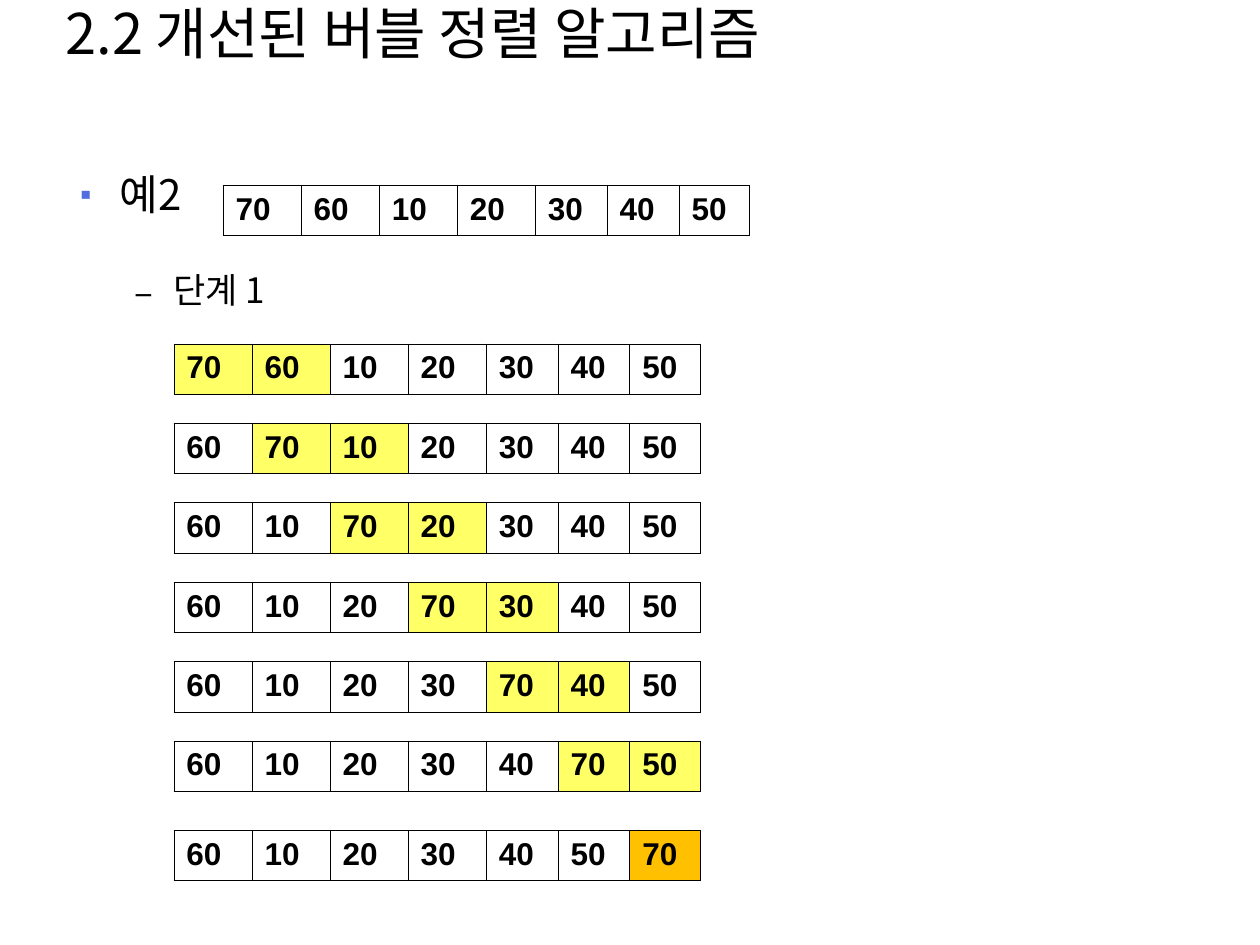
from dataclasses import dataclass

from lxml.etree import SubElement
from pptx import Presentation
from pptx.dml.color import RGBColor
from pptx.enum.text import MSO_ANCHOR, MSO_AUTO_SIZE, PP_ALIGN
from pptx.oxml.ns import qn
from pptx.util import Inches, Pt


@dataclass(frozen=True)
class Theme:
    ink: str = "000000"
    bullet: str = "526DE0"
    compared: str = "FFFF66"
    settled: str = "FFC000"
    text_font: str = "Noto Sans CJK KR"
    cell_font: str = "Arial"
    title_size: int = 32
    example_size: int = 24
    step_size: int = 20
    cell_size: int = 18
    border: float = 0.45
    line_spacing: float = 0.9


@dataclass(frozen=True)
class ArrayRow:
    left: float
    top: float
    values: tuple[int, ...]
    marked: tuple[int, ...] = ()
    mark_color: str = ""


@dataclass(frozen=True)
class Bullet:
    text: str
    char: str
    color: str
    percent: int
    size: int
    level: int
    margin: float
    hang: float
    space_before: int


THEME = Theme()
SLIDE_SIZE = (10, 7.5)
COLUMNS = (0.62,) * 4 + (0.57,) * 2 + (0.56,)
ROW_HEIGHT = 0.4
STEP_LEFT, STEP_TOP, STEP_PITCH = 1.38, 2.73, 0.63
RESULT_TOP = 6.59
START = (70, 60, 10, 20, 30, 40, 50)
BULLETS = (
    Bullet("예2", "▪", THEME.bullet, 70, THEME.example_size, 0, 0.38, 0.38, 0),
    Bullet("단계 1", "–", THEME.ink, 100, THEME.step_size, 1, 0.81, 0.31, 31),
)


def format_runs(para, font_name: str, size: int, bold: bool = False) -> None:
    for span in para.runs:
        span.font.name = font_name
        span.font.size = Pt(size)
        span.font.bold = bold
        span.font.color.rgb = RGBColor.from_string(THEME.ink)
        SubElement(span.font._element, qn("a:ea"), typeface=font_name)


def add_title(page, text: str) -> None:
    title = page.shapes.title
    title.left, title.top = Inches(0.42), 0
    title.width, title.height = Inches(9.17), Inches(0.84)
    frame = title.text_frame
    frame.text = text
    frame.auto_size = MSO_AUTO_SIZE.NONE
    frame.vertical_anchor = MSO_ANCHOR.TOP
    para = frame.paragraphs[0]
    para.alignment = PP_ALIGN.LEFT
    para.line_spacing = THEME.line_spacing
    format_runs(para, THEME.text_font, THEME.title_size)


def format_bullet(para, bullet: Bullet) -> None:
    props = para._p.get_or_add_pPr()
    props.set("marL", str(Inches(bullet.margin)))
    props.set("indent", str(-Inches(bullet.hang)))
    SubElement(SubElement(props, qn("a:buClr")), qn("a:srgbClr"), val=bullet.color)
    SubElement(props, qn("a:buSzPct"), val=str(bullet.percent * 1000))
    SubElement(props, qn("a:buFont"), typeface=THEME.text_font)
    SubElement(props, qn("a:buChar"), char=bullet.char)
    para.level = bullet.level
    para.line_spacing = THEME.line_spacing
    para.space_before = Pt(bullet.space_before)
    format_runs(para, THEME.text_font, bullet.size)


def add_bullets(page, bullets: tuple[Bullet, ...]) -> None:
    box = page.shapes.add_textbox(Inches(0.47), Inches(1.33), Inches(9.06), Inches(5.67))
    frame = box.text_frame
    frame.word_wrap = True
    frame.text = "\n".join(bullet.text for bullet in bullets)
    for para, bullet in zip(frame.paragraphs, bullets):
        format_bullet(para, bullet)


def add_borders(cell) -> None:
    props = cell._tc.get_or_add_tcPr()
    for index, side in enumerate(("lnL", "lnR", "lnT", "lnB")):
        line = props.makeelement(qn(f"a:{side}"), {"w": str(Pt(THEME.border))})
        SubElement(SubElement(line, qn("a:solidFill")), qn("a:srgbClr"), val=THEME.ink)
        props.insert(index, line)


def add_array(page, row: ArrayRow) -> None:
    table = page.shapes.add_table(
        1, len(COLUMNS), Inches(row.left), Inches(row.top),
        Inches(sum(COLUMNS)), Inches(ROW_HEIGHT),
    ).table
    table.first_row = table.horz_banding = False
    for index, (width, value) in enumerate(zip(COLUMNS, row.values)):
        table.columns[index].width = Inches(width)
        cell = table.cell(0, index)
        cell.text_frame.text = str(value)
        format_runs(cell.text_frame.paragraphs[0], THEME.cell_font, THEME.cell_size, True)
        if index in row.marked:
            cell.fill.solid()
            cell.fill.fore_color.rgb = RGBColor.from_string(row.mark_color)
        else:
            cell.fill.background()
        add_borders(cell)


def first_pass(start: tuple[int, ...]) -> list[ArrayRow]:
    """Return one row per comparison of a bubble sort pass, then its result."""
    values = list(start)
    last = len(values) - 1
    rows = []
    for step in range(last):
        top = STEP_TOP + step * STEP_PITCH
        rows.append(ArrayRow(STEP_LEFT, top, tuple(values), (step, step + 1), THEME.compared))
        values[step:step + 2] = sorted(values[step:step + 2])
    rows.append(ArrayRow(STEP_LEFT, RESULT_TOP, tuple(values), (last,), THEME.settled))
    return rows


def main() -> None:
    deck = Presentation()
    deck.slide_width, deck.slide_height = map(Inches, SLIDE_SIZE)
    page = deck.slides.add_slide(deck.slide_layouts.get_by_name("Title Only"))
    add_title(page, "2.2 개선된 버블 정렬 알고리즘")
    add_bullets(page, BULLETS)
    for row in [ArrayRow(1.77, 1.47, START), *first_pass(START)]:
        add_array(page, row)
    deck.save("out.pptx")


if __name__ == "__main__":
    main()
